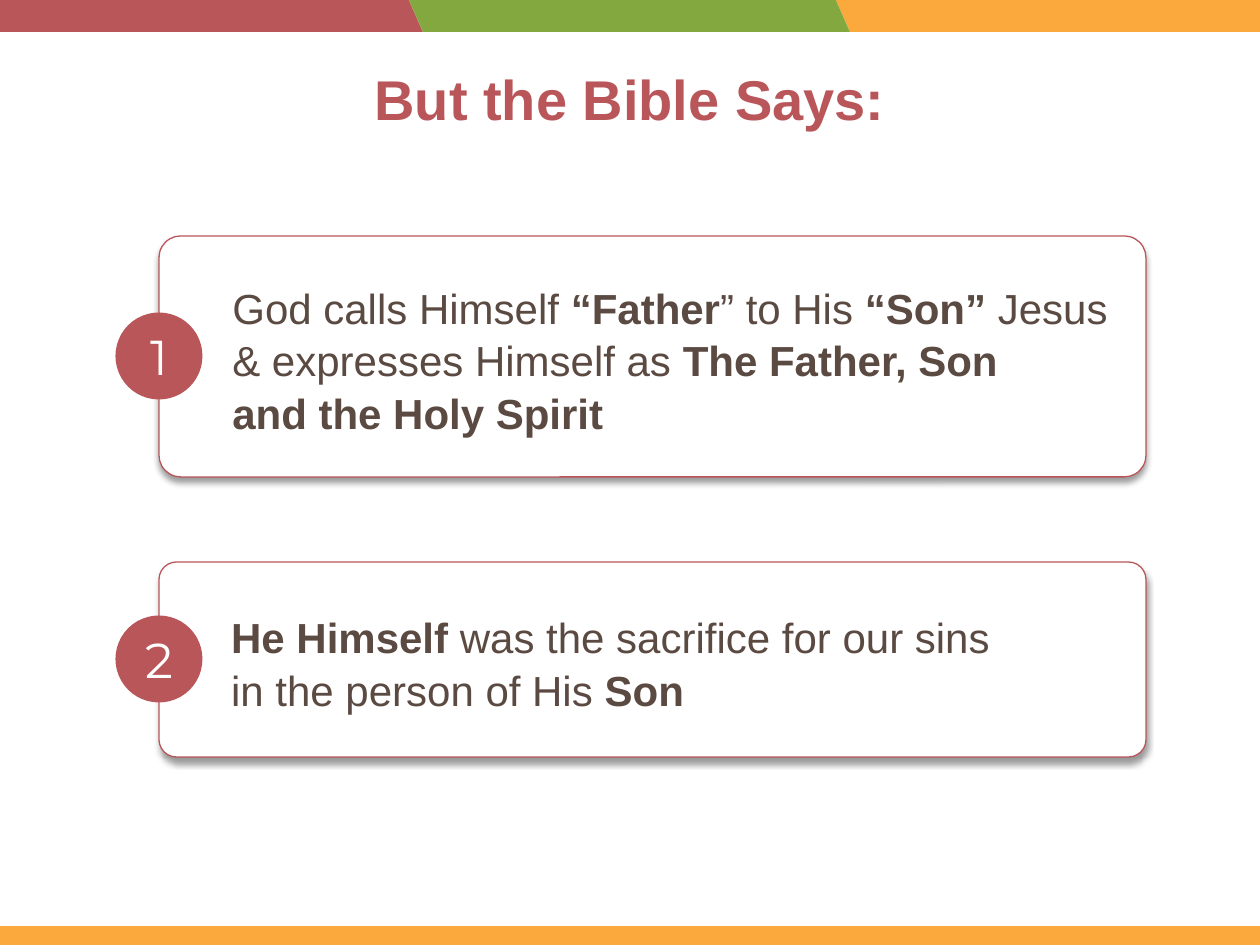
from lxml.etree import SubElement
from pptx import Presentation
from pptx.dml.color import RGBColor
from pptx.enum.shapes import MSO_SHAPE
from pptx.enum.text import MSO_ANCHOR, PP_ALIGN
from pptx.oxml.ns import qn
from pptx.util import Pt

PX = 914400 / 126
RED = RGBColor(0xB9, 0x56, 0x59)
GREEN = RGBColor(0x83, 0xA8, 0x3F)
ORANGE = RGBColor(0xFB, 0xA9, 0x3D)
BROWN = RGBColor(0x5B, 0x4A, 0x42)
WHITE = RGBColor(0xFF, 0xFF, 0xFF)

# Each line of a card is a list of (text, bold) runs.
CARDS = [
    ((159, 236, 987, 241), 356, "1", [
        [("God calls Himself ", False), ("“Father", True), ("” to His ", False),
         ("“Son” ", True), ("Jesus", False)],
        [("& expresses Himself as ", False), ("The Father, Son", True)],
        [("and the Holy Spirit", True)],
    ]),
    ((159, 562, 987, 195), 659, "2", [
        [("He Himself ", True), ("was the sacrifice for our sins", False)],
        [("in the person of His ", False), ("Son", True)],
    ]),
]


def px(value):
    return round(value * PX)


def add_filled(slide, kind, box, color):
    shape = slide.shapes.add_shape(kind, *map(px, box))
    shape.shadow.inherit = False
    shape.fill.solid()
    shape.fill.fore_color.rgb = color
    shape.line.fill.background()
    return shape


def add_run(paragraph, text, size, color, bold=False, font="Arial"):
    run = paragraph.add_run()
    run.text = text
    run.font.name = font
    run.font.size = Pt(size)
    run.font.bold = bold
    run.font.color.rgb = color


def set_margins(frame, left, top, right, bottom):
    frame.margin_left, frame.margin_top = px(left), px(top)
    frame.margin_right, frame.margin_bottom = px(right), px(bottom)


def add_drop_shadow(shape):
    effects = shape._element.spPr.find(qn("a:effectLst"))
    shadow = SubElement(effects, qn("a:outerShdw"), blurRad=str(Pt(4)),
                        dist=str(Pt(3)), dir="5400000", rotWithShape="0")
    color = SubElement(shadow, qn("a:srgbClr"), val="000000")
    SubElement(color, qn("a:alpha"), val="40000")


def add_bands(slide, box):
    """Three slanted bands across the top; the middle one lies in front."""
    left, top, width, height = box
    band_width, step = 441, 427
    start = left + (width - band_width) // 2 - step
    for index, color in ((2, ORANGE), (0, RED), (1, GREEN)):
        band = add_filled(slide, MSO_SHAPE.PARALLELOGRAM,
                          (start + index * step, top, band_width, height), color)
        band.adjustments[0] = 0.44
        band._element.spPr.xfrm.set("flipH", "1")


def add_title(slide, box, text):
    frame = slide.shapes.add_textbox(*map(px, box)).text_frame
    frame.word_wrap = True
    set_margins(frame, 12, 12, 12, 6)
    paragraph = frame.paragraphs[0]
    paragraph.alignment = PP_ALIGN.CENTER
    add_run(paragraph, text, 32, RED, bold=True)


def add_card(slide, box, badge_middle, number, lines):
    card = add_filled(slide, MSO_SHAPE.ROUNDED_RECTANGLE, box, WHITE)
    card.adjustments[0] = 0.09
    card.line.color.rgb = RED
    card.line.width = Pt(0.75)
    add_drop_shadow(card)
    frame = card.text_frame
    frame.word_wrap = True
    frame.vertical_anchor = MSO_ANCHOR.MIDDLE
    set_margins(frame, 12, 11, 12, 6)
    paragraph = frame.paragraphs[0]
    paragraph.alignment = PP_ALIGN.LEFT
    paragraph.line_spacing = 1.05
    paragraph._p.get_or_add_pPr().set("marL", str(px(55)))
    for index, line in enumerate(lines):
        if index:
            paragraph.add_line_break()
        for text, bold in line:
            add_run(paragraph, text, 24, BROWN, bold)
    add_badge(slide, box[0], badge_middle, number)


def add_badge(slide, center, middle, number):
    size = 87
    badge = add_filled(slide, MSO_SHAPE.OVAL,
                       (center - size / 2, middle - size / 2, size, size), RED)
    frame = badge.text_frame
    frame.word_wrap = False
    frame.vertical_anchor = MSO_ANCHOR.MIDDLE
    set_margins(frame, 0, 0, 0, 0)
    paragraph = frame.paragraphs[0]
    paragraph.alignment = PP_ALIGN.CENTER
    add_run(paragraph, number, 28, WHITE, font="Montserrat")


def main():
    presentation = Presentation()
    presentation.slide_width, presentation.slide_height = px(1260), px(945)
    slide = presentation.slides.add_slide(presentation.slide_layouts[6])
    add_bands(slide, (0, 0, 1260, 32))
    add_filled(slide, MSO_SHAPE.RECTANGLE, (0, 926, 1260, 19), ORANGE)
    add_title(slide, (87, 53, 1086, 183), "But the Bible Says:")
    for card in CARDS:
        add_card(slide, *card)
    presentation.save("out.pptx")


if __name__ == "__main__":
    main()
